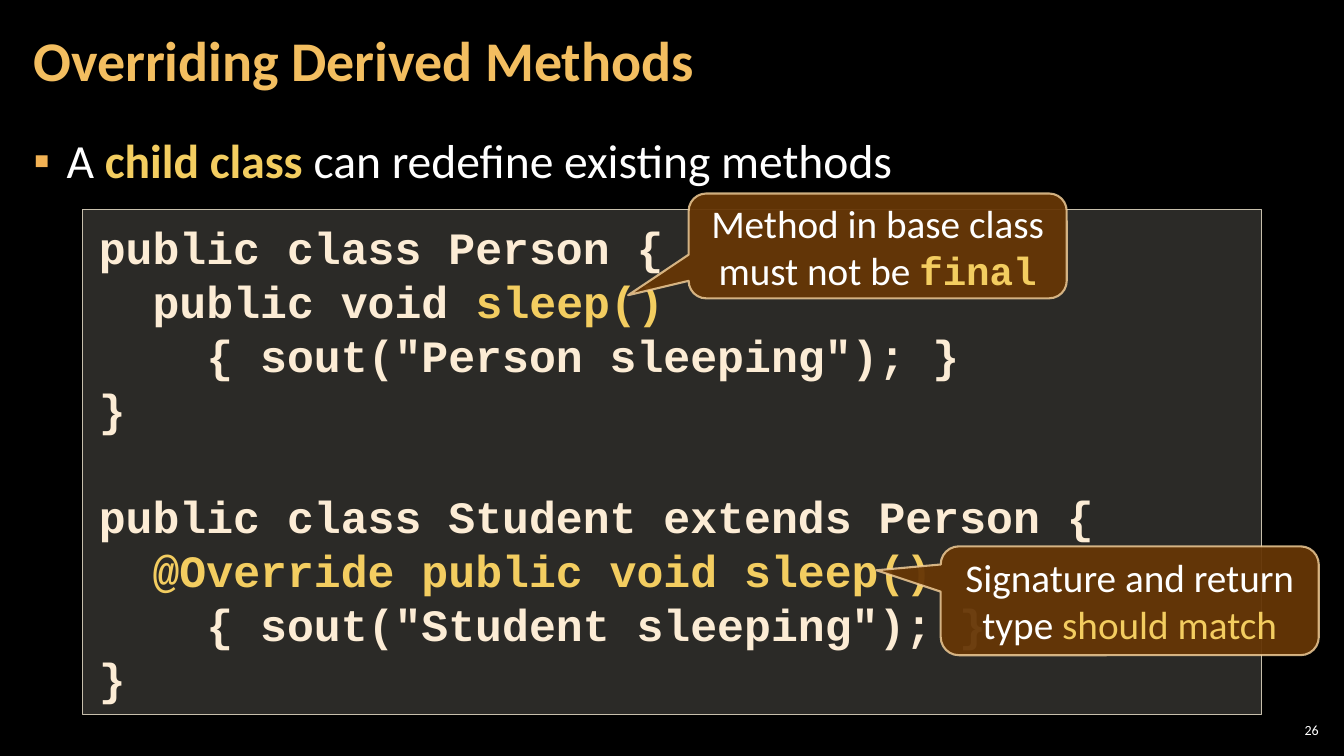
"""Build the slide on overriding derived methods."""
from pptx import Presentation
from pptx.dml.color import RGBColor as RGB
from pptx.enum.shapes import MSO_SHAPE as Shape
from pptx.enum.text import MSO_ANCHOR as Anchor, MSO_AUTO_SIZE as Fit, PP_ALIGN as Align
from pptx.oxml.ns import qn
from pptx.util import Inches, Pt
from lxml.etree import SubElement as Sub

BLACK = RGB(0x00, 0x00, 0x00)
WHITE = RGB(0xFF, 0xFF, 0xFF)
TITLE = RGB(0xF3, 0xBE, 0x60)
GOLD = RGB(0xF3, 0xCD, 0x60)
CREAM = RGB(0xFC, 0xEC, 0xD5)
PANEL = RGB(0xD9, 0xD5, 0xC7)
EDGE = RGB(0xC7, 0xBF, 0xAC)
BROWN = RGB(0x66, 0x36, 0x06)
RIM = RGB(0xF8, 0xD4, 0x9E)
AMBER = RGB(0xF2, 0xB2, 0x54)
SANS, MONO = "Calibri", "Courier New"


class Page:
    """Hold the style and the current slide."""

    def __init__(self, deck):
        self.slide = deck.slides.add_slide(deck.slide_layouts[1])
        self.slide.background.fill.solid()
        self.slide.background.fill.fore_color.rgb = BLACK

    def place(self, shape, box):
        shape.left, shape.top, shape.width, shape.height = map(Inches, box)

    def frame(self, shape, pad, anchor):
        frame = shape.text_frame
        frame.word_wrap = True
        frame.auto_size = Fit.NONE
        frame.vertical_anchor = anchor
        frame.margin_left = frame.margin_right = Inches(pad[0])
        frame.margin_top = frame.margin_bottom = Inches(pad[1])
        return frame

    def text(self, para, runs, size, face=SANS, bold=False, align=Align.LEFT):
        para.alignment = align
        para.font.size, para.font.name, para.font.bold = Pt(size), face, bold
        for words, color, *style in runs:
            run = para.add_run()
            run.text = words
            run.font.color.rgb = color
            if style:
                run.font.name, run.font.bold = style

    def fade(self, fill, color, alpha):
        fill.solid()
        fill.fore_color.rgb = color
        node = fill._xPr.find(qn("a:solidFill"))[0]
        Sub(node, qn("a:alpha"), val=str(alpha * 1000))

    def block(self, kind, box, fill, line, width):
        shape = self.slide.shapes.add_shape(kind, *map(Inches, box))
        shape.shadow.inherit = False
        self.fade(shape.fill, *fill)
        self.fade(shape.line.fill, *line)
        shape.line.width = Pt(width)
        return shape

    def title(self, words, box):
        shape = self.slide.shapes.title
        self.place(shape, box)
        para = self.frame(shape, (0.12, 0.04), Anchor.MIDDLE).paragraphs[0]
        para.line_spacing = Pt(40)
        self.text(para, [(words, TITLE)], 40, bold=True)

    def body(self, runs, box):
        shape = self.slide.placeholders[1]
        self.place(shape, box)
        para = self.frame(shape, (0.12, 0.04), Anchor.TOP).paragraphs[0]
        para.space_before = para.space_after = Pt(6)
        self.text(para, runs, 34)
        props = para._p.get_or_add_pPr()
        props.set("marL", str(Inches(0.33)))
        props.set("indent", str(-Inches(0.33)))
        tint = Sub(props, qn("a:buClr"))
        Sub(tint, qn("a:srgbClr"), val=str(AMBER))
        Sub(props, qn("a:buChar"), char="▪")
        props.append(props.find(qn("a:defRPr")))

    def code(self, parts, box):
        shape = self.block(Shape.RECTANGLE, box, (PANEL, 20), (EDGE, 100), 1)
        frame = self.frame(shape, (0.16, 0.08), Anchor.MIDDLE)
        pitch = Pt(38.4)
        para = frame.paragraphs[0]
        for part, lines in enumerate(parts):
            for row, (depth, runs) in enumerate(lines):
                if part or row:
                    para = frame.add_paragraph()
                para.line_spacing = pitch
                para.space_before = pitch if part and not row else Pt(0)
                self.text(para, runs, 32, MONO, True)
                para._p.get_or_add_pPr().set("marL", str(pitch * depth))

    def callout(self, runs, box, tip):
        shape = self.block(Shape.ROUNDED_RECTANGULAR_CALLOUT, box,
                           (BROWN, 95), (RIM, 80), 1.5)
        shape.adjustments[0], shape.adjustments[1] = tip
        frame = self.frame(shape, (0.1, 0.05), Anchor.MIDDLE)
        self.text(frame.paragraphs[0], runs, 28, align=Align.CENTER)

    def number(self, words, box):
        shape = self.slide.shapes.add_textbox(*map(Inches, box))
        frame = self.frame(shape, (0.04, 0.04), Anchor.MIDDLE)
        self.text(frame.paragraphs[0], [(words, WHITE)], 10, align=Align.RIGHT)


deck = Presentation()
deck.slide_width, deck.slide_height = Inches(13.33), Inches(7.5)
page = Page(deck)
page.title("Overriding Derived Methods", (0.21, 0.04, 10.47, 1.21))
page.body([("A ", WHITE), ("child class ", GOLD, SANS, True),
           ("can redefine existing methods", WHITE)], (0.21, 1.26, 12.91, 6.09))
page.number("26", (12.65, 7.14, 0.47, 0.21))
page.code([
    [(0, [("public class Person {", CREAM)]),
     (1, [("public void ", CREAM), ("sleep()", GOLD)]),
     (2, [('{ sout("Person sleeping"); }', CREAM)]),
     (0, [("}", CREAM)])],
    [(0, [("public class Student extends Person {", CREAM)]),
     (1, [("@Override public void sleep()", GOLD)]),
     (2, [('{ sout("Student sleeping"); }', CREAM)]),
     (0, [("}", CREAM)])],
], (0.82, 2.08, 11.69, 5.01))
page.callout([("Signature and return type ", WHITE), ("should match", GOLD)],
             (9.33, 5.42, 3.75, 1.08), (-0.67, -0.28))
page.callout([("Method in base class must not be ", WHITE), ("final", GOLD, MONO, True)],
             (6.83, 1.92, 3.75, 1.04), (-0.66, 0.47))
deck.save("out.pptx")
